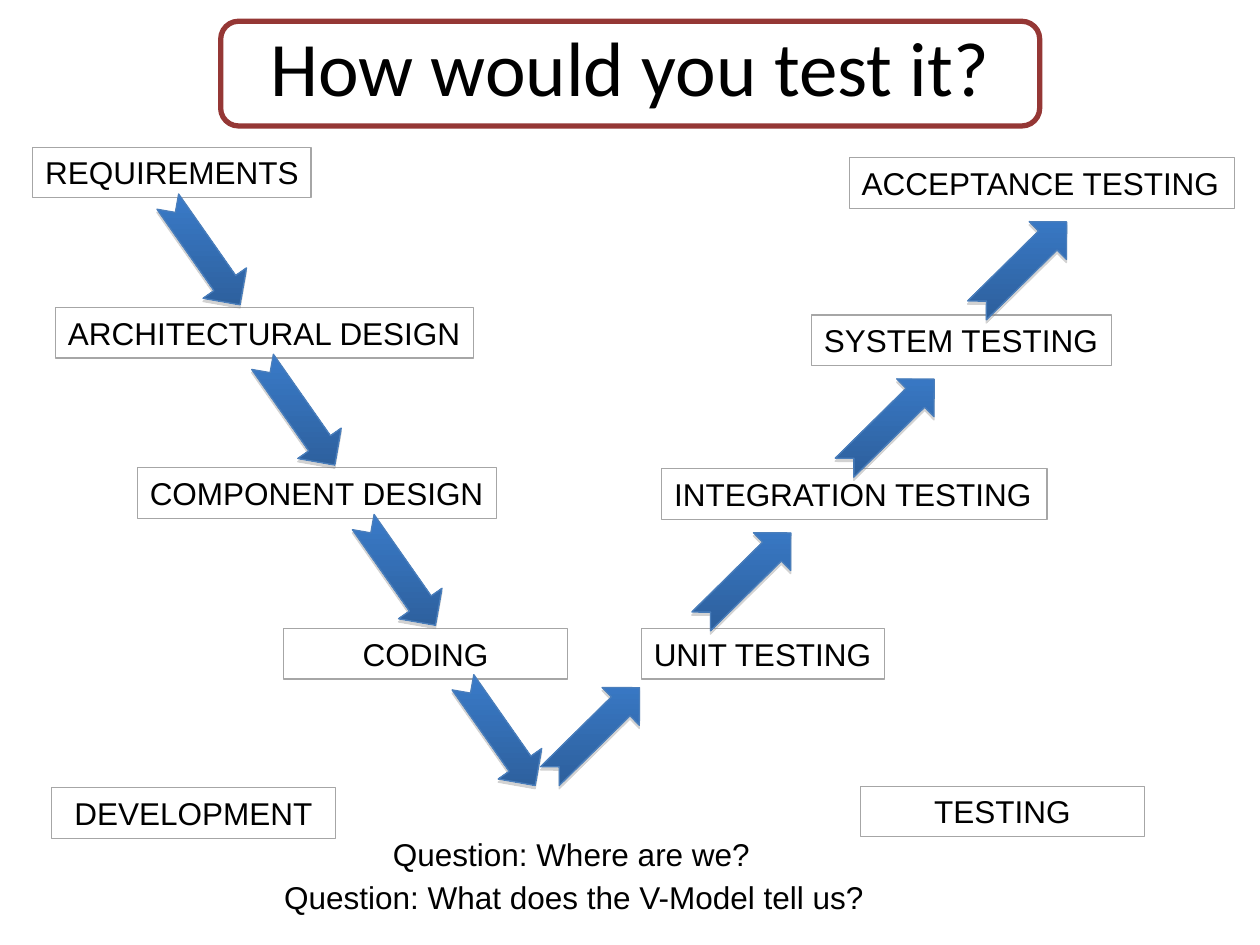
from dataclasses import dataclass

from lxml import etree
from pptx import Presentation
from pptx.dml.color import RGBColor
from pptx.enum.shapes import MSO_SHAPE
from pptx.enum.text import MSO_ANCHOR, MSO_AUTO_SIZE, PP_ALIGN
from pptx.oxml.ns import qn
from pptx.util import Cm, Pt

LEFT, CENTER = PP_ALIGN.LEFT, PP_ALIGN.CENTER
MIDDLE = MSO_ANCHOR.MIDDLE
NO_AUTOFIT = MSO_AUTO_SIZE.NONE
NOTCHED_ARROW = MSO_SHAPE.NOTCHED_RIGHT_ARROW
ROUNDED_RECTANGLE = MSO_SHAPE.ROUNDED_RECTANGLE


@dataclass(frozen=True)
class Theme:
    text: RGBColor = RGBColor(0x00, 0x00, 0x00)
    box_line: RGBColor = RGBColor(0xA6, 0xA6, 0xA6)
    title_frame: RGBColor = RGBColor(0x95, 0x37, 0x35)
    arrow_line: RGBColor = RGBColor(0x4A, 0x7E, 0xBB)
    arrow_light: RGBColor = RGBColor(0x3A, 0x7C, 0xCB)
    arrow_dark: RGBColor = RGBColor(0x2C, 0x5D, 0x98)
    arrow_shadow: str = "808080"
    title_font: str = "Calibri"
    label_font: str = "Arial"
    title_size: Pt = Pt(44)
    label_size: Pt = Pt(18)
    thin_line: Pt = Pt(0.75)
    frame_line: Pt = Pt(3)


theme = Theme()


def add_label(text, left, top, width, alignment):
    label = slide.shapes.add_textbox(Cm(left), Cm(top), Cm(width), Cm(1.02))
    label.text_frame.word_wrap = False
    label.text_frame.auto_size = NO_AUTOFIT
    paragraph = label.text_frame.paragraphs[0]
    paragraph.alignment = alignment
    run = paragraph.add_run()
    run.text = text
    run.font.name = theme.label_font
    run.font.size = theme.label_size
    run.font.color.rgb = theme.text
    return label


def add_arrow(left, top, rotation):
    """Add a turned arrow whose gradient and shadow run straight down the slide."""
    arrow = slide.shapes.add_shape(NOTCHED_ARROW, Cm(left), Cm(top), Cm(2.54), Cm(1.07))
    arrow.rotation = rotation
    arrow.fill.gradient()
    arrow.fill.gradient_angle = (rotation - 90) % 360
    for stop, color, position in zip(
        arrow.fill.gradient_stops, (theme.arrow_light, theme.arrow_dark), (0, 1)
    ):
        stop.color.rgb = color
        stop.position = position
    arrow.line.color.rgb = theme.arrow_line
    arrow.line.width = theme.thin_line

    arrow.shadow.inherit = False
    effects = arrow.element.spPr.find(qn("a:effectLst"))
    shadow = etree.SubElement(
        effects, qn("a:outerShdw"),
        blurRad="0", dist=str(Pt(1.8)), dir="5400000", rotWithShape="0",
    )
    shadow_color = etree.SubElement(shadow, qn("a:srgbClr"), val=theme.arrow_shadow)
    etree.SubElement(shadow_color, qn("a:alpha"), val="35000")


presentation = Presentation()
presentation.slide_width = Cm(25.4)
presentation.slide_height = Cm(19.05)
slide = presentation.slides.add_slide(presentation.slide_layouts[5])

# Title
title = slide.shapes.title
title.left, title.top, title.width, title.height = Cm(1.27), Cm(0.43), Cm(22.86), Cm(1.78)
title.text_frame.vertical_anchor = MIDDLE
title.text_frame.auto_size = NO_AUTOFIT
title_paragraph = title.text_frame.paragraphs[0]
title_paragraph.alignment = CENTER
title_run = title_paragraph.add_run()
title_run.text = "How would you test it?"
title_run.font.name = theme.title_font
title_run.font.size = theme.title_size
title_run.font.color.rgb = theme.text

# Stages of the V and the names of its two sides
boxes = [
    ("REQUIREMENTS", 0.66, 2.97, 5.61, LEFT),
    ("ARCHITECTURAL DESIGN", 1.12, 6.2, 8.43, LEFT),
    ("COMPONENT DESIGN", 2.77, 9.43, 7.24, LEFT),
    ("CODING", 5.72, 12.67, 5.72, CENTER),
    ("UNIT TESTING", 12.93, 12.67, 4.9, LEFT),
    ("INTEGRATION TESTING", 13.34, 9.45, 7.77, LEFT),
    ("SYSTEM TESTING", 16.36, 6.35, 6.05, LEFT),
    ("ACCEPTANCE TESTING", 17.12, 3.18, 7.77, LEFT),
    ("DEVELOPMENT", 1.04, 15.88, 5.72, CENTER),
    ("TESTING", 17.35, 15.85, 5.72, CENTER),
]
for box_values in boxes:
    box = add_label(*box_values)
    box.line.color.rgb = theme.box_line
    box.line.width = theme.thin_line

# Arrows down the development side, then up the testing side
for step, left in enumerate((2.84, 4.75, 6.78, 8.79)):
    add_arrow(left, 4.57 + 3.23 * step, 55)
for left, top in ((10.72, 14.22), (13.77, 11.1), (16.66, 8), (19.33, 4.83)):
    add_arrow(left, top, 315.4)

# Questions
add_label("Question: Where are we?", 7.67, 16.71, 7.7, CENTER)
add_label("Question: What does the V-Model tell us?", 5.46, 17.58, 12.22, CENTER)

# Title frame
frame = slide.shapes.add_shape(ROUNDED_RECTANGLE, Cm(4.45), Cm(0.43), Cm(16.51), Cm(2.11))
frame.adjustments[0] = 0.17
frame.shadow.inherit = False
frame.fill.background()
frame.line.color.rgb = theme.title_frame
frame.line.width = theme.frame_line

presentation.save("out.pptx")
